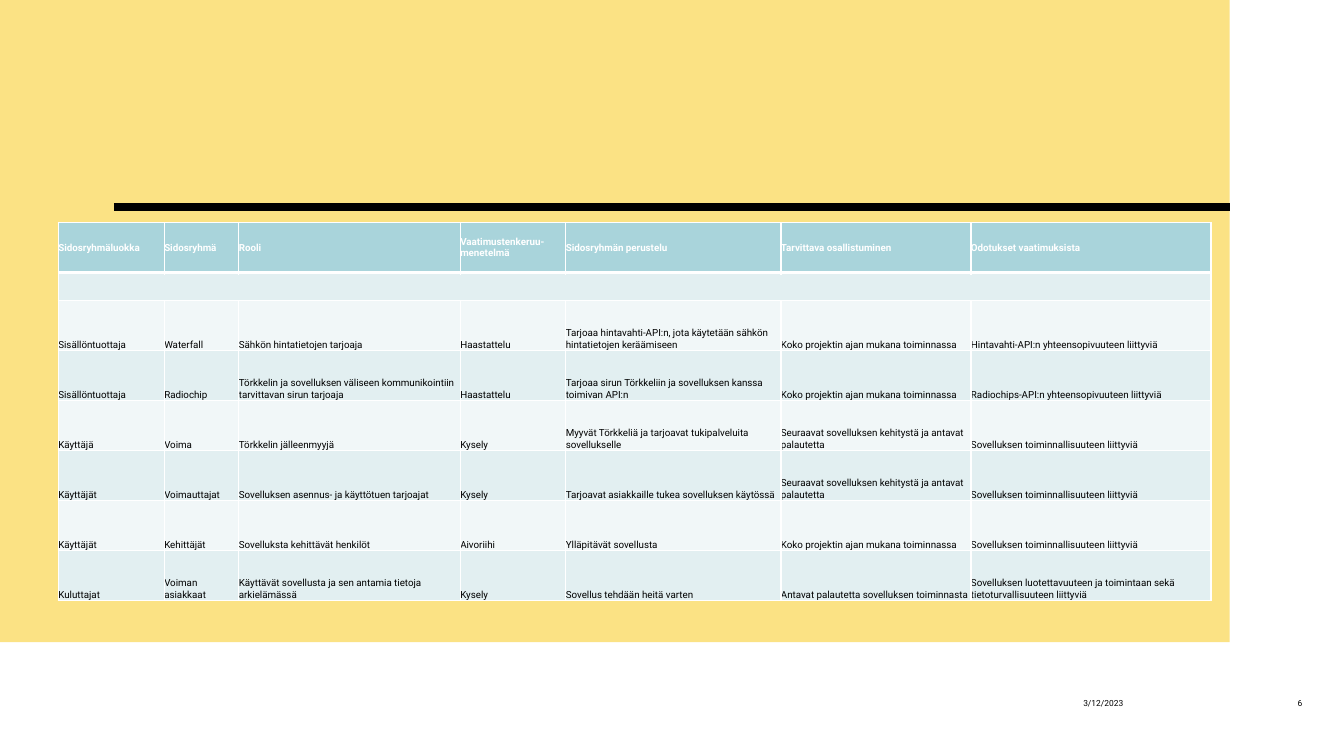
"""Builds the stakeholder table slide."""
from lxml import etree
from pptx import Presentation
from pptx.dml.color import RGBColor
from pptx.enum.shapes import MSO_CONNECTOR, MSO_SHAPE
from pptx.enum.text import MSO_ANCHOR, PP_ALIGN
from pptx.oxml.ns import qn
from pptx.util import Cm, Pt

RECT = MSO_SHAPE.RECTANGLE
STRAIGHT = MSO_CONNECTOR.STRAIGHT
MIDDLE, BOTTOM = MSO_ANCHOR.MIDDLE, MSO_ANCHOR.BOTTOM
LEFT, RIGHT = PP_ALIGN.LEFT, PP_ALIGN.RIGHT

COL_WIDTHS = [2.67, 1.88, 5.58, 2.66, 5.42, 4.79, 6.05]
HEADER = ["Sidosryhmäluokka", "Sidosryhmä", "Rooli", "Vaatimustenkeruu-menetelmä",
          "Sidosryhmän perustelu", "Tarvittava osallistuminen", "Odotukset vaatimuksista"]
WHOLE_PROJECT = "Koko projektin ajan mukana toiminnassa"
FOLLOW = "Seuraavat sovelluksen kehitystä ja antavat palautetta"
FUNCTIONALITY = "Sovelluksen toiminnallisuuteen liittyviä"
STAKEHOLDERS = [
    ["Sisällöntuottaja", "Waterfall", "Sähkön hintatietojen tarjoaja", "Haastattelu",
     "Tarjoaa hintavahti-API:n, jota käytetään sähkön hintatietojen keräämiseen",
     WHOLE_PROJECT, "Hintavahti-API:n yhteensopivuuteen liittyviä"],
    ["Sisällöntuottaja", "Radiochip",
     "Törkkelin ja sovelluksen väliseen kommunikointiin tarvittavan sirun tarjoaja",
     "Haastattelu", "Tarjoaa sirun Törkkeliin ja sovelluksen kanssa toimivan API:n",
     WHOLE_PROJECT, "Radiochips-API:n yhteensopivuuteen liittyviä"],
    ["Käyttäjä", "Voima", "Törkkelin jälleenmyyjä", "Kysely",
     "Myyvät Törkkeliä ja tarjoavat tukipalveluita sovellukselle", FOLLOW, FUNCTIONALITY],
    ["Käyttäjät", "Voimauttajat", "Sovelluksen asennus- ja käyttötuen tarjoajat", "Kysely",
     "Tarjoavat asiakkaille tukea sovelluksen käytössä", FOLLOW, FUNCTIONALITY],
    ["Käyttäjät", "Kehittäjät", "Sovelluksta kehittävät henkilöt", "Aivoriihi",
     "Ylläpitävät sovellusta", WHOLE_PROJECT, FUNCTIONALITY],
    ["Kuluttajat", "Voiman asiakkaat",
     "Käyttävät sovellusta ja sen antamia tietoja arkielämässä", "Kysely",
     "Sovellus tehdään heitä varten", "Antavat palautetta sovelluksen toiminnasta",
     "Sovelluksen luotettavuuteen ja toimintaan sekä tietoturvallisuuteen liittyviä"],
]


def rgb(color):
    return RGBColor.from_string(color)


def write(tf, text, size=7, color="000000", bold=False, align=LEFT, spacing=None, after=None):
    p = tf.paragraphs[0]
    p.alignment = align
    p.line_spacing = spacing
    p.space_after = after
    p.font.size = Pt(size)
    if text:
        r = p.add_run()
        r.text = text
        r.font.name = "Roboto"
        r.font.size = Pt(size)
        r.font.bold = bold
        r.font.color.rgb = rgb(color)


class SlideBuilder:
    BLACK, WHITE, YELLOW = "000000", "FFFFFF", "FBE284"
    TEAL, BANDS = "A9D4DB", ["F1F7F8", "E2EFF1"]

    def __init__(self, prs):
        self.s = prs.slides.add_slide(prs.slide_layouts[6])

    def rect(self, x, y, w, h, fill):
        sp = self.s.shapes.add_shape(RECT, Cm(x), Cm(y), Cm(w), Cm(h))
        sp.shadow.inherit = False
        sp.fill.solid()
        sp.fill.fore_color.rgb = rgb(fill)
        sp.line.fill.background()

    def line(self, x1, y1, x2, y2, color, width):
        cn = self.s.shapes.add_connector(STRAIGHT, Cm(x1), Cm(y1), Cm(x2), Cm(y2))
        cn.line.color.rgb = rgb(color)
        cn.line.width = Pt(width)
        etree.SubElement(cn._element.spPr, qn("a:effectLst"))

    def text(self, x, y, w, h, text, margin, **fmt):
        tf = self.s.shapes.add_textbox(Cm(x), Cm(y), Cm(w), Cm(h)).text_frame
        tf.word_wrap = True
        tf.vertical_anchor = MIDDLE
        tf.margin_left = tf.margin_right = Cm(margin)
        write(tf, text, **fmt)

    def borders(self, cell, top, bottom):
        tc_pr = cell._tc.get_or_add_tcPr()
        for side, width in zip("LRTB", (1, 1, top, bottom)):
            ln = etree.SubElement(tc_pr, qn(f"a:ln{side}"), w=str(Pt(width)))
            fill = etree.SubElement(ln, qn("a:solidFill"))
            etree.SubElement(fill, qn("a:srgbClr"), val=self.WHITE)

    def cell(self, cell, text, fill, anchor, top=1, bottom=1, **fmt):
        self.borders(cell, top, bottom)
        cell.fill.solid()
        cell.fill.fore_color.rgb = rgb(fill)
        cell.margin_left = cell.margin_right = cell.margin_top = cell.margin_bottom = 0
        cell.vertical_anchor = anchor
        write(cell.text_frame, text, **fmt)

    def table(self, x, y, widths, row_h, gap_h, header, body):
        rows = [header, [""] * len(header)] + body
        heights = [row_h, gap_h] + [row_h] * len(body)
        table = self.s.shapes.add_table(len(rows), len(widths), Cm(x), Cm(y),
                                        Cm(sum(widths)), Cm(sum(heights))).table
        for col, w in zip(table.columns, widths):
            col.width = Cm(w)
        for i, (row, h) in enumerate(zip(rows, heights)):
            table.rows[i].height = Cm(h)
            for j, text in enumerate(row):
                if i == 0:
                    self.cell(table.cell(i, j), text, self.TEAL, MIDDLE, bottom=3,
                              color=self.WHITE, bold=True)
                else:
                    self.cell(table.cell(i, j), text, self.BANDS[i % 2], BOTTOM,
                              top=3 if i == 1 else 1)
        table.cell(1, 0).merge(table.cell(1, len(widths) - 1))


def main():
    prs = Presentation()
    prs.slide_width, prs.slide_height = Cm(33.87), Cm(19.05)
    b = SlideBuilder(prs)
    b.rect(0, 0, 30.99, 16.18, b.YELLOW)
    b.line(2.87, 5.21, 30.99, 5.21, b.BLACK, 6)
    footer = {"size": 6, "spacing": 0.9, "after": Pt(6)}
    b.text(27.3, 17.48, 4.24, 0.5, "3/12/2023", 0, **footer)
    b.text(31.93, 17.48, 1.14, 0.5, "6", 0.25, align=RIGHT, **footer)
    b.table(1.47, 5.61, COL_WIDTHS, 1.26, 0.7, HEADER, STAKEHOLDERS)
    prs.save("out.pptx")


if __name__ == "__main__":
    main()
